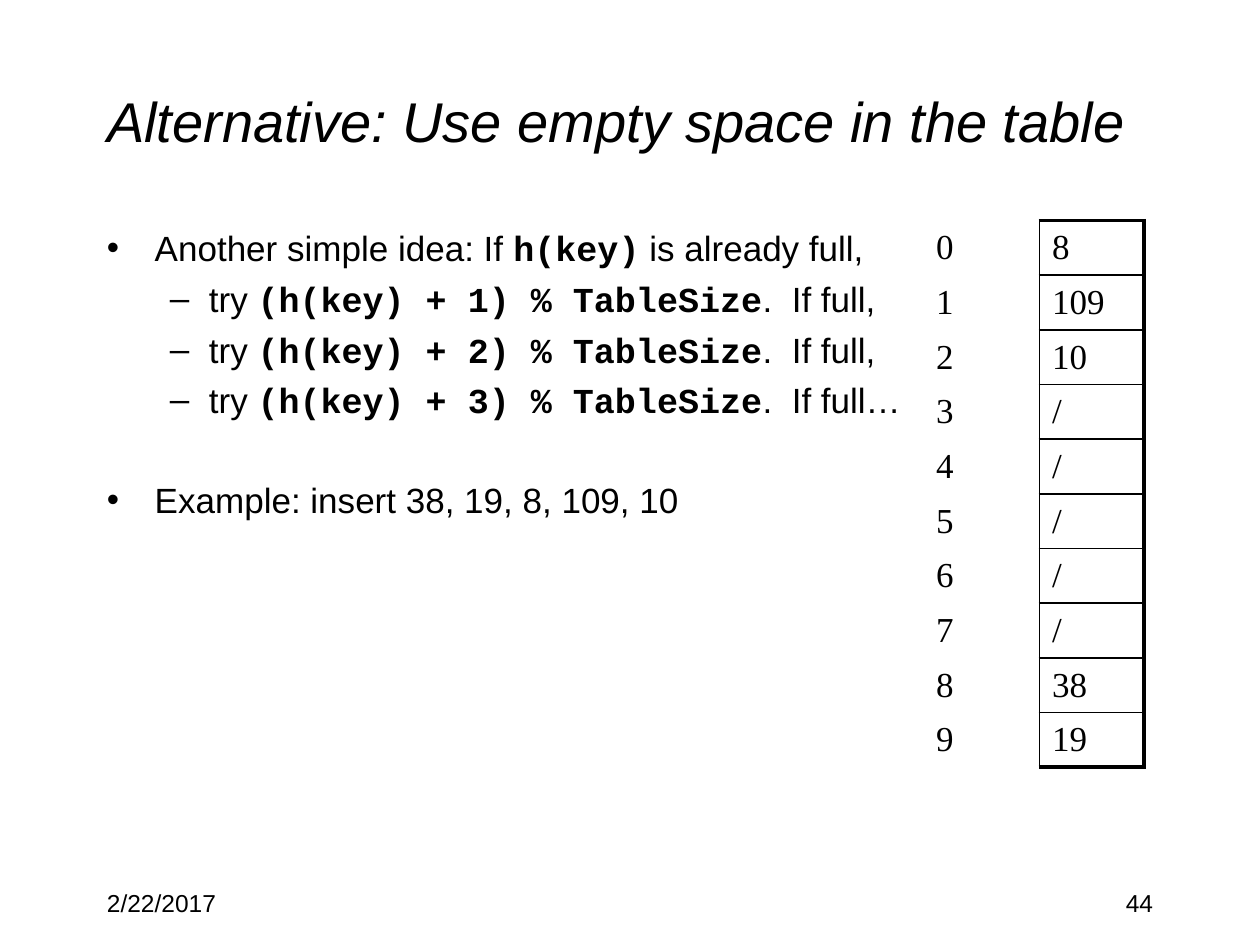
from dataclasses import dataclass

from lxml import etree
from pptx import Presentation
from pptx.dml.color import RGBColor
from pptx.enum.text import MSO_ANCHOR, PP_ALIGN
from pptx.oxml.ns import qn
from pptx.util import Inches, Pt

MIDDLE = MSO_ANCHOR.MIDDLE
LEFT, RIGHT = PP_ALIGN.LEFT, PP_ALIGN.RIGHT
COLORS = {"ink": "000000", "paper": "FFFFFF"}
SANS, CODE, SERIF = "Arial", "Courier New", "Times New Roman"
THIN, THICK = 1, 2.25
SLOTS = ["8", "109", "10", "/", "/", "/", "/", "/", "38", "19"]


@dataclass
class Bullet:
    before: str
    code: str = ""
    after: str = ""
    level: int = 0
    space: float = 5


BULLETS = [
    Bullet("Another simple idea: If ", "h(key)", " is already full,"),
    *[
        Bullet("try ", f"(h(key) + {step}) % TableSize", f".  If full{ending}", level=1)
        for step, ending in ((1, ","), (2, ","), (3, "…"))
    ],
    Bullet("Example: insert 38, 19, 8, 109, 10", space=33),
]
LEVELS = [("•", 0.38, -0.38), ("–", 0.81, -0.31)]


def add_text(para, text: str, *, size: float = 20, font: str = SANS,
             bold: bool = False, italic: bool = False, align=LEFT) -> None:
    para.alignment = align
    span = para.add_run()
    span.text = text
    span.font.name = font
    span.font.size = Pt(size)
    span.font.bold = bold
    span.font.italic = italic
    span.font.color.rgb = RGBColor.from_string(COLORS["ink"])


def add_box(page, left: float, top: float, width: float, height: float):
    box = page.shapes.add_textbox(Inches(left), Inches(top), Inches(width), Inches(height))
    box.text_frame.word_wrap = True
    return box.text_frame


def add_title(page, text: str) -> None:
    title = page.shapes.title
    title.left, title.top = Inches(0.75), Inches(0.33)
    title.width, title.height = Inches(8.5), Inches(1.25)
    title.text_frame.vertical_anchor = MIDDLE
    add_text(title.text_frame.paragraphs[0], text, size=32, italic=True)


def add_bullet(para, bullet: Bullet) -> None:
    mark, margin, indent = LEVELS[bullet.level]
    para.level = bullet.level
    para.space_before = Pt(bullet.space)
    add_text(para, bullet.before)
    if bullet.code:
        add_text(para, bullet.code, font=CODE, bold=True)
        add_text(para, bullet.after)
    properties = para._p.get_or_add_pPr()
    properties.set("marL", str(Inches(margin)))
    properties.set("indent", str(Inches(indent)))
    etree.SubElement(properties, qn("a:buFont"), typeface=SANS)
    etree.SubElement(properties, qn("a:buChar"), char=mark)


def set_borders(cell, left: float = 0, right: float = 0,
                top: float = 0, bottom: float = 0) -> None:
    properties = cell._tc.get_or_add_tcPr()
    sides = (("a:lnL", left), ("a:lnR", right), ("a:lnT", top), ("a:lnB", bottom))
    for position, (tag, width) in enumerate(sides):
        line = etree.Element(qn(tag), w=str(Pt(width)))
        if width:
            fill = etree.SubElement(line, qn("a:solidFill"))
            etree.SubElement(fill, qn("a:srgbClr"), val=COLORS["ink"])
        else:
            etree.SubElement(line, qn("a:noFill"))
        properties.insert(position, line)


def fill_cell(cell, text: str, **borders: float) -> None:
    cell.vertical_anchor = MIDDLE
    cell.fill.background()
    add_text(cell.text_frame.paragraphs[0], text, font=SERIF)
    set_borders(cell, **borders)


def add_hash_table(page, slots: list[str]) -> None:
    table = page.shapes.add_table(
        len(slots), 2, Inches(7.33), Inches(1.75), Inches(1.75), Inches(4.2)
    ).table
    table.first_row = False
    table.horz_banding = False
    table.columns[0].width = Inches(0.92)
    table.columns[1].width = Inches(0.83)
    last = len(slots) - 1
    for index, value in enumerate(slots):
        table.rows[index].height = Inches(0.43 if index in (0, 8) else 0.42)
        fill_cell(table.cell(index, 0), str(index), right=THIN)
        fill_cell(table.cell(index, 1), value, left=THIN, right=THICK,
                  top=THICK if index == 0 else THIN,
                  bottom=THICK if index == last else THIN)


def main() -> None:
    deck = Presentation()
    deck.slide_width, deck.slide_height = Inches(10), Inches(7.5)
    page = deck.slides.add_slide(deck.slide_layouts[5])
    page.background.fill.solid()
    page.background.fill.fore_color.rgb = RGBColor.from_string(COLORS["paper"])

    add_title(page, "Alternative: Use empty space in the table")
    for left, text, align in ((0.75, "2/22/2017", LEFT), (7.17, "44", RIGHT)):
        footer = add_box(page, left, 7, 2.08, 0.5)
        add_text(footer.paragraphs[0], text, size=14, align=align)
    add_hash_table(page, SLOTS)

    body = add_box(page, 0.75, 1.75, 8.5, 4.92)
    for index, bullet in enumerate(BULLETS):
        add_bullet(body.add_paragraph() if index else body.paragraphs[0], bullet)

    deck.save("out.pptx")


if __name__ == "__main__":
    main()
